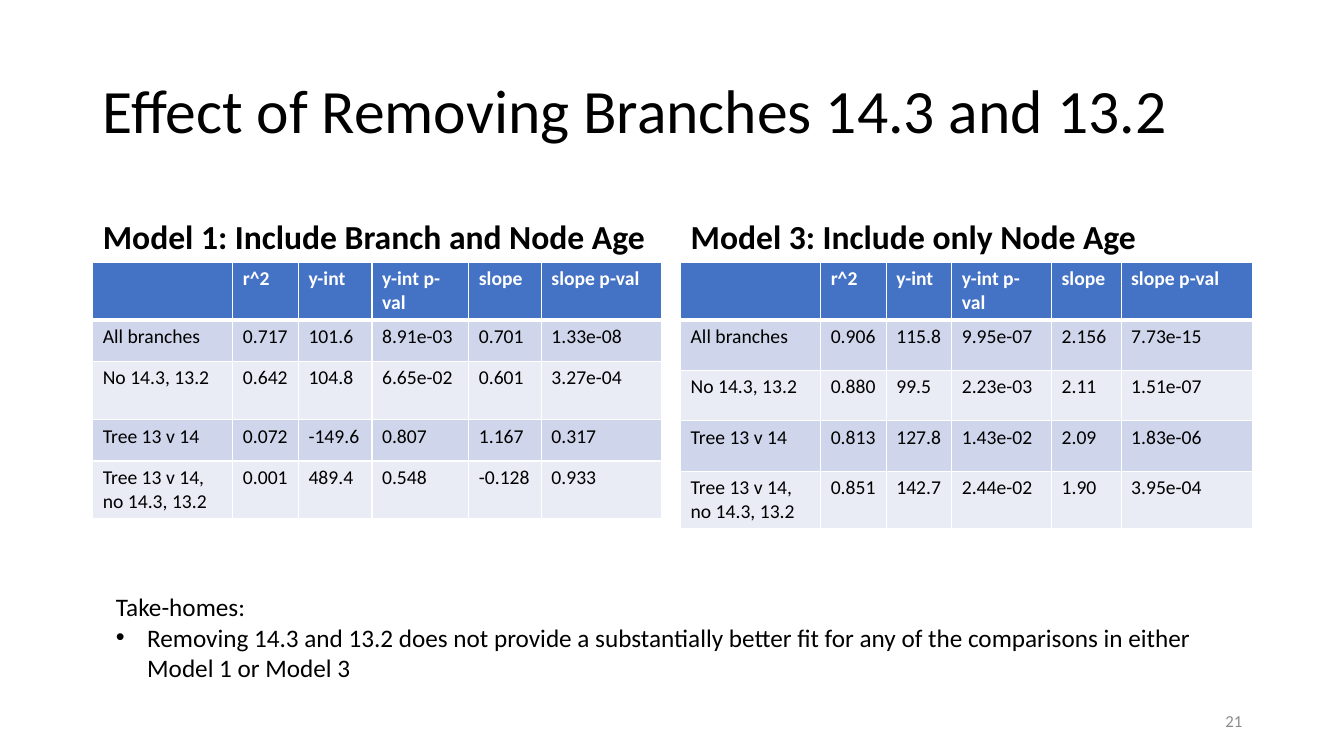
from lxml import etree
from pptx import Presentation
from pptx.dml.color import RGBColor
from pptx.enum.text import MSO_ANCHOR, MSO_AUTO_SIZE, PP_ALIGN
from pptx.oxml.ns import qn
from pptx.util import Inches, Pt

LEFT, RIGHT = PP_ALIGN.LEFT, PP_ALIGN.RIGHT
TOP, MIDDLE, BOTTOM = MSO_ANCHOR.TOP, MSO_ANCHOR.MIDDLE, MSO_ANCHOR.BOTTOM
NO_FIT = MSO_AUTO_SIZE.NONE
COMPARISON_LAYOUT = 4

COLORS = {"text": "000000", "white": "FFFFFF", "header": "4472C4",
          "odd": "CFD5EA", "even": "E9EBF5", "number": "8C8C8C"}
FONT = "Calibri"

# Grid: two model columns under the title, the take-homes across both
MARGIN, SECOND_COLUMN, RIGHT_EDGE = 0.92, 6.75, 12.42
HEADING_TOP, TABLE_TOP = 1.7, 2.6

HEADER = ["", "r^2", "y-int", "y-int p-val", "slope", "slope p-val"]
COMPARISONS = ["All branches", "No 14.3, 13.2", "Tree 13 v 14",
               "Tree 13 v 14, no 14.3, 13.2"]
MODELS = [
    {"heading": "Model 1: Include Branch and Node Age",
     "placeholder": 1, "left": MARGIN,
     "columns": [1.39, 0.65, 0.73, 0.96, 0.72, 1.19],
     "rows": [0.57, 0.41, 0.58, 0.41, 0.57],
     "values": [["0.717", "101.6", "8.91e-03", "0.701", "1.33e-08"],
                ["0.642", "104.8", "6.65e-02", "0.601", "3.27e-04"],
                ["0.072", "-149.6", "0.807", "1.167", "0.317"],
                ["0.001", "489.4", "0.548", "-0.128", "0.933"]]},
    {"heading": "Model 3: Include only Node Age",
     "placeholder": 3, "left": SECOND_COLUMN,
     "columns": [1.39, 0.65, 0.65, 0.99, 0.69, 1.3],
     "rows": [0.57, 0.5, 0.5, 0.5, 0.57],
     "values": [["0.906", "115.8", "9.95e-07", "2.156", "7.73e-15"],
                ["0.880", "99.5", "2.23e-03", "2.11", "1.51e-07"],
                ["0.813", "127.8", "1.43e-02", "2.09", "1.83e-06"],
                ["0.851", "142.7", "2.44e-02", "1.90", "3.95e-04"]]},
]


def write(paragraph, text, size, color="text", bold=False, align=LEFT):
    """Add one formatted run to a paragraph."""
    paragraph.alignment = align
    run = paragraph.add_run()
    run.text = text
    run.font.name, run.font.size, run.font.bold = FONT, Pt(size), bold
    run.font.color.rgb = RGBColor.from_string(COLORS[color])


def place(shape, left, top, width, height, anchor):
    """Position a text shape in inches and return its first paragraph."""
    shape.left, shape.top = Inches(left), Inches(top)
    shape.width, shape.height = Inches(width), Inches(height)
    frame = shape.text_frame
    frame.word_wrap, frame.auto_size = True, NO_FIT
    frame.vertical_anchor = anchor
    return frame.paragraphs[0]


deck = Presentation()
deck.slide_width, deck.slide_height = Inches(13.33), Inches(7.5)
slide = deck.slides.add_slide(deck.slide_layouts[COMPARISON_LAYOUT])
parts = {part.placeholder_format.idx: part for part in slide.placeholders}

title = place(parts[0], MARGIN, 0.4, RIGHT_EDGE - MARGIN, 1.45, MIDDLE)
title.line_spacing = 0.9
write(title, "Effect of Removing Branches 14.3 and 13.2", 44)

for model in MODELS:
    width = sum(model["columns"])
    heading = place(parts[model["placeholder"]], model["left"], HEADING_TOP,
                    width, TABLE_TOP - HEADING_TOP, BOTTOM)
    heading.line_spacing, heading.space_before = 0.9, Pt(10)
    write(heading, model["heading"], 24, bold=True)

    results = slide.shapes.add_table(
        len(model["rows"]), len(HEADER), Inches(model["left"]),
        Inches(TABLE_TOP), Inches(width), Inches(sum(model["rows"]))).table
    for column, column_width in zip(results.columns, model["columns"]):
        column.width = Inches(column_width)
    for row, row_height in zip(results.rows, model["rows"]):
        row.height = Inches(row_height)

    lines = [HEADER] + [[name] + values for name, values
                        in zip(COMPARISONS, model["values"])]
    for r, line in enumerate(lines):
        is_header = r == 0
        band = "header" if is_header else "odd" if r % 2 else "even"
        for c, value in enumerate(line):
            cell = results.cell(r, c)
            properties = cell._tc.get_or_add_tcPr()
            for side in "LRTB":
                heavy = (r, side) in ((0, "B"), (1, "T"))
                border = etree.SubElement(properties, qn(f"a:ln{side}"),
                                          w=str(Pt(3 if heavy else 1)))
                stroke = etree.SubElement(border, qn("a:solidFill"))
                etree.SubElement(stroke, qn("a:srgbClr"), val=COLORS["white"])
            cell.fill.solid()
            cell.fill.fore_color.rgb = RGBColor.from_string(COLORS[band])
            write(cell.text_frame.paragraphs[0], value, 14,
                  "white" if is_header else "text", is_header)

take_homes = place(parts[2], 1.05, 5.82, RIGHT_EDGE - 1.05, 1.01, TOP)
finding = parts[2].text_frame.add_paragraph()
write(take_homes, "Take-homes:", 18)
write(finding, "Removing 14.3 and 13.2 does not provide a substantially better "
      "fit for any of the comparisons in either Model 1 or Model 3", 18)
for paragraph, indent, bullet in ((take_homes, 0, None), (finding, 0.31, "•")):
    paragraph.space_before = Pt(0)
    layout = paragraph._p.get_or_add_pPr()
    layout.set("marL", str(Inches(indent)))
    layout.set("indent", str(-Inches(indent)))
    if bullet:
        etree.SubElement(layout, qn("a:buFont"), typeface="Arial")
        etree.SubElement(layout, qn("a:buChar"), char=bullet)
    else:
        etree.SubElement(layout, qn("a:buNone"))

unused = parts[4].element
unused.getparent().remove(unused)

page_number = place(slide.shapes.add_textbox(0, 0, 0, 0),
                    RIGHT_EDGE - 3, 6.95, 3, 0.4, MIDDLE)
write(page_number, "21", 12, "number", align=RIGHT)

deck.save("out.pptx")
